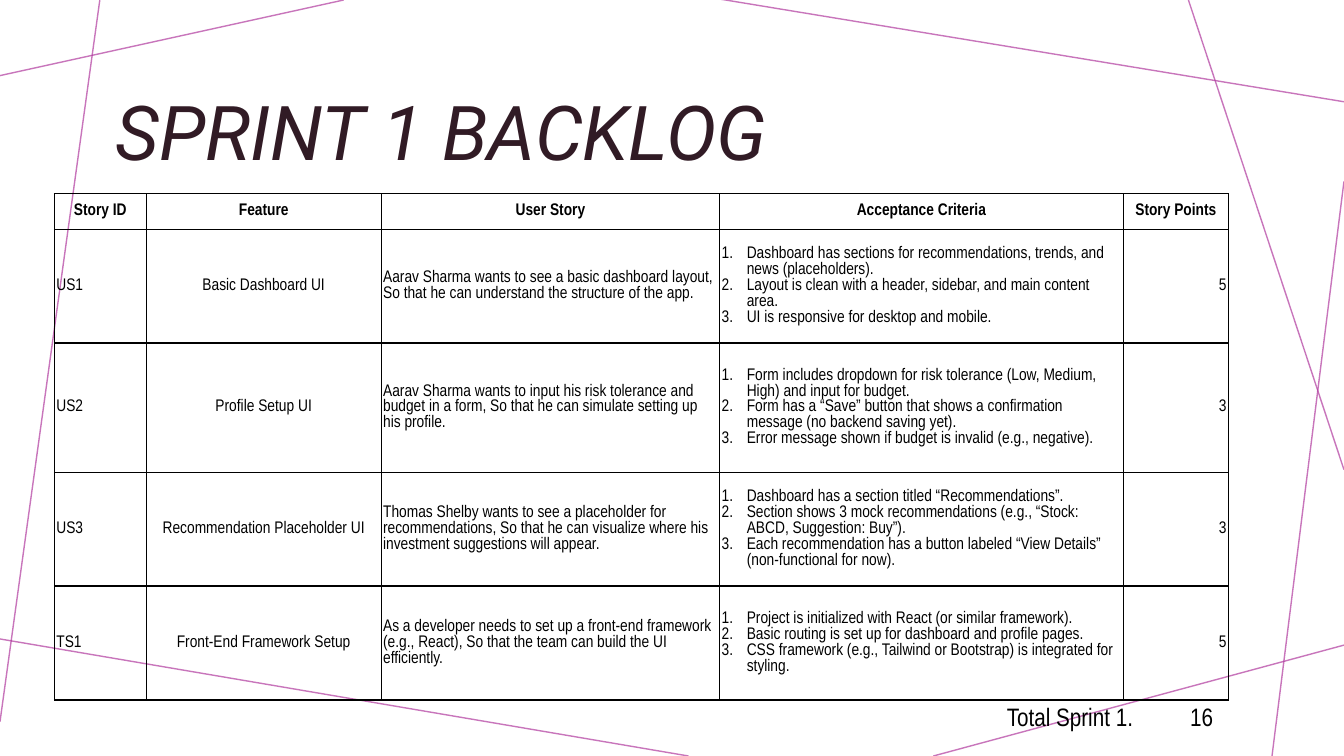
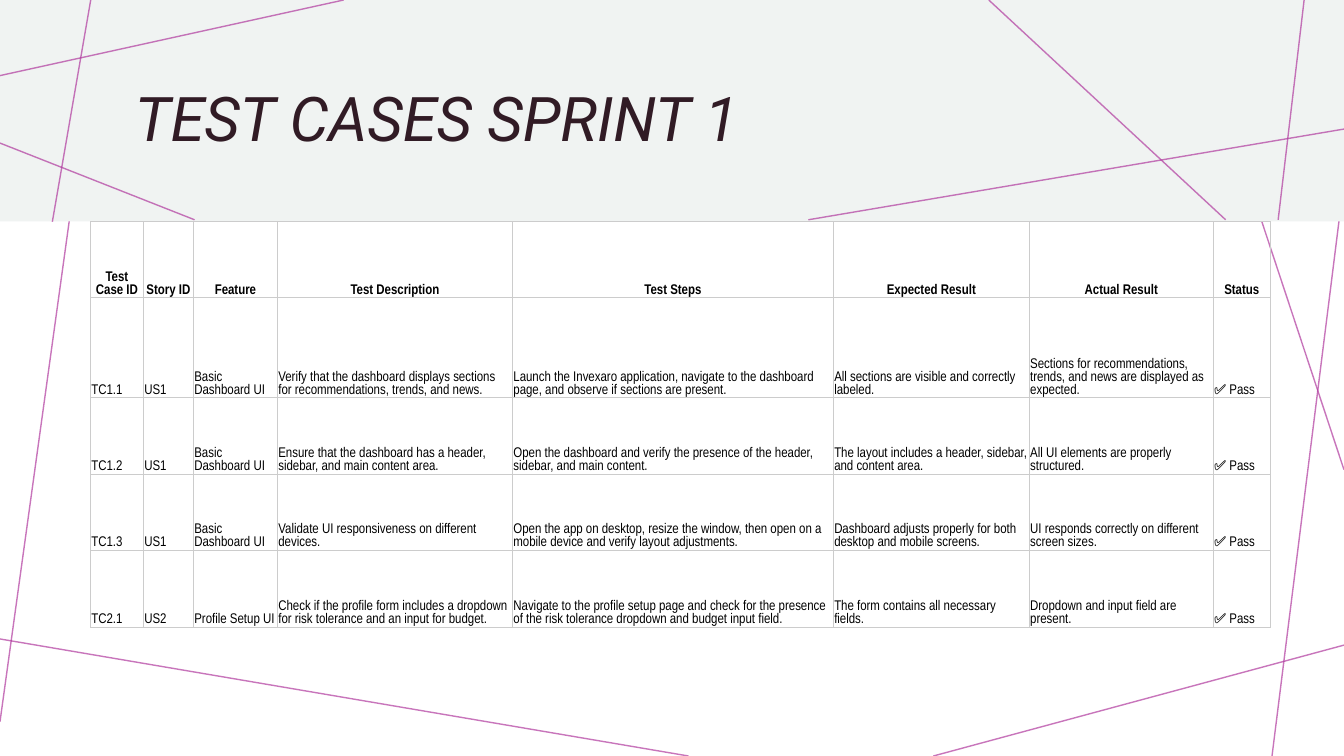
from dataclasses import dataclass
from typing import NamedTuple

from lxml.etree import SubElement
from pptx import Presentation
from pptx.dml.color import RGBColor
from pptx.enum.shapes import MSO_CONNECTOR, MSO_SHAPE
from pptx.enum.text import MSO_ANCHOR, MSO_AUTO_SIZE, PP_ALIGN
from pptx.oxml.ns import qn
from pptx.util import Pt

WIDTH, HEIGHT = 960, 540
BLACK, PLUM, MAGENTA, MIST, GREY = "000000", "311B25", "B13B9F", "F0F3F2", "CCCCCC"
TITLE_FONT, BODY_FONT = "Roboto", "Arial Narrow"
LEFT, CENTER, RIGHT = PP_ALIGN.LEFT, PP_ALIGN.CENTER, PP_ALIGN.RIGHT


class Line(NamedTuple):
    x1: float
    y1: float
    x2: float
    y2: float


class Box(NamedTuple):
    x: float
    y: float
    w: float
    h: float


@dataclass
class TableSpec:
    x: float
    y: float
    widths: list
    heights: list
    aligns: list
    size: float
    anchor: MSO_ANCHOR
    margin_x: float
    margin_y: float
    border: str
    border_width: float
    rows: list


CORNER_LINE = Line(245.5, 0, 0, 54)
BACKDROP_LINES = [
    CORNER_LINE,
    Line(71.3, 0, 0, 515.5),
    Line(491.8, 540, -3.6, 455.8),
    Line(960, 460.8, 666.7, 540),
    Line(960, 129.6, 908.6, 540),
    Line(960, 335.5, 848.9, 0),
    Line(960, 72.7, 514.1, -0.7),
]
BAND_LINES = [
    CORNER_LINE,
    Line(64.8, 0, 37.4, 158.4),
    Line(139, 157, 0, 102.2),
    Line(960, 92.2, 577.4, 157),
    Line(875.5, 157, 706.3, 0),
    Line(931.7, -1.4, 913, 157),
]

BACKLOG = TableSpec(
    x=38.9, y=138.4,
    widths=[65.6, 167.8, 241.8, 288.3, 75.2],
    heights=[25.3, 81.4, 92.2, 81.4, 81.4],
    aligns=[LEFT, CENTER, LEFT, LEFT, RIGHT],
    size=12, anchor=MSO_ANCHOR.MIDDLE, margin_x=1.4, margin_y=0.7,
    border=BLACK, border_width=1,
    rows=[
        ["Story ID", "Feature", "User Story", "Acceptance Criteria", "Story Points"],
        ["US1", "Basic Dashboard UI",
         "Aarav Sharma wants to see a basic dashboard layout, So that he can understand the structure of the app.",
         ("Dashboard has sections for recommendations, trends, and news (placeholders).",
          "Layout is clean with a header, sidebar, and main content area.",
          "UI is responsive for desktop and mobile."), "5"],
        ["US2", "Profile Setup UI",
         "Aarav Sharma wants to input his risk tolerance and budget in a form, "
         "So that he can simulate setting up his profile.",
         ("Form includes dropdown for risk tolerance (Low, Medium, High) and input for budget.",
          "Form has a “Save” button that shows a confirmation message (no backend saving yet).",
          "Error message shown if budget is invalid (e.g., negative)."), "3"],
        ["US3", "Recommendation Placeholder UI",
         "Thomas Shelby wants to see a placeholder for recommendations, "
         "So that he can visualize where his investment suggestions will appear.",
         ("Dashboard has a section titled “Recommendations”.",
          "Section shows 3 mock recommendations (e.g., “Stock: ABCD, Suggestion: Buy”).",
          "Each recommendation has a button labeled “View Details” (non-functional for now)."), "3"],
        ["TS1", "Front-End Framework Setup",
         "As a developer needs to set up a front-end framework (e.g., React), "
         "So that the team can build the UI efficiently.",
         ("Project is initialized with React (or similar framework).",
          "Basic routing is set up for dashboard and profile pages.",
          "CSS framework (e.g., Tailwind or Bootstrap) is integrated for styling."), "5"],
    ],
)

TEST_CASES = TableSpec(
    x=64.6, y=158.2,
    widths=[37.8, 35.8, 60, 167.9, 229.2, 140, 131.4, 40.8],
    heights=[54.6, 71.4, 54.6, 54.6, 54.6],
    aligns=[LEFT] * 8,
    size=10, anchor=MSO_ANCHOR.BOTTOM, margin_x=0.7, margin_y=0.7,
    border=GREY, border_width=0.75,
    rows=[
        ["Test Case ID", "Story ID", "Feature", "Test Description", "Test Steps",
         "Expected Result", "Actual Result", "Status"],
        ["TC1.1", "US1", "Basic Dashboard UI",
         "Verify that the dashboard displays sections for recommendations, trends, and news.",
         "Launch the Invexaro application, navigate to the dashboard page, and observe if sections are present.",
         "All sections are visible and correctly labeled.",
         "Sections for recommendations, trends, and news are displayed as expected.", "✅ Pass"],
        ["TC1.2", "US1", "Basic Dashboard UI",
         "Ensure that the dashboard has a header, sidebar, and main content area.",
         "Open the dashboard and verify the presence of the header, sidebar, and main content.",
         "The layout includes a header, sidebar, and content area.",
         "All UI elements are properly structured.", "✅ Pass"],
        ["TC1.3", "US1", "Basic Dashboard UI",
         "Validate UI responsiveness on different devices.",
         "Open the app on desktop, resize the window, then open on a mobile device and verify layout adjustments.",
         "Dashboard adjusts properly for both desktop and mobile screens.",
         "UI responds correctly on different screen sizes.", "✅ Pass"],
        ["TC2.1", "US2", "Profile Setup UI",
         "Check if the profile form includes a dropdown for risk tolerance and an input for budget.",
         "Navigate to the profile setup page and check for the presence of the risk tolerance dropdown "
         "and budget input field.",
         "The form contains all necessary fields.",
         "Dropdown and input field are present.", "✅ Pass"],
    ],
)


def rgb(value: str) -> RGBColor:
    return RGBColor.from_string(value)


def set_font(p, name: str, size: float, color: str, bold: bool = False, italic: bool = False) -> None:
    font = p.font
    font.name, font.size, font.bold, font.italic = name, Pt(size), bold, italic
    font.color.rgb = rgb(color)


def add_lines(slide, lines: list) -> None:
    for line in lines:
        cxn = slide.shapes.add_connector(MSO_CONNECTOR.STRAIGHT, *map(Pt, line))
        cxn.line.width = Pt(1)
        cxn.line.color.rgb = rgb(MAGENTA)
        sp_pr = cxn._element.spPr
        SubElement(next(sp_pr.iter(qn("a:srgbClr"))), qn("a:alpha"), val="70000")
        SubElement(sp_pr, qn("a:effectLst"))


def add_band(slide, height: float) -> None:
    sp = slide.shapes.add_shape(MSO_SHAPE.RECTANGLE, 0, 0, Pt(WIDTH), Pt(height))
    sp.shadow.inherit = False
    sp.fill.solid()
    sp.fill.fore_color.rgb = rgb(MIST)
    sp.line.fill.background()


def add_textbox(slide, box: Box, text: str, anchor: MSO_ANCHOR):
    tf = slide.shapes.add_textbox(*map(Pt, box)).text_frame
    tf.word_wrap = True
    tf.vertical_anchor = anchor
    tf.text = text
    return tf


def add_title(slide, box: Box, text: str, size: float, anchor: MSO_ANCHOR) -> None:
    p = add_textbox(slide, box, text, anchor).paragraphs[0]
    p.line_spacing = 0.9
    set_font(p, TITLE_FONT, size, PLUM, italic=True)


def add_total(slide, box: Box, text: str, tab: float) -> None:
    tf = add_textbox(slide, box, text, MSO_ANCHOR.TOP)
    tf.auto_size = MSO_AUTO_SIZE.SHAPE_TO_FIT_TEXT
    p = tf.paragraphs[0]
    tabs = SubElement(p._p.get_or_add_pPr(), qn("a:tabLst"))
    SubElement(tabs, qn("a:tab"), pos=str(Pt(tab)), algn="l")
    set_font(p, BODY_FONT, 18, BLACK)


def number_paragraph(p, indent: float) -> None:
    p_pr = p._p.get_or_add_pPr()
    p_pr.set("marL", str(Pt(indent)))
    p_pr.set("indent", str(-Pt(indent)))
    SubElement(p_pr, qn("a:buFont"), typeface="+mj-lt")
    SubElement(p_pr, qn("a:buAutoNum"), type="arabicPeriod")


def set_borders(cell, color: str, width: float) -> None:
    tc_pr = cell._tc.get_or_add_tcPr()
    for side in ("lnL", "lnR", "lnT", "lnB"):
        ln = SubElement(tc_pr, qn(f"a:{side}"), w=str(Pt(width)))
        SubElement(SubElement(ln, qn("a:solidFill")), qn("a:srgbClr"), val=color)


def fill_cell(cell, content, spec: TableSpec, align: PP_ALIGN, bold: bool) -> None:
    cell.margin_left = cell.margin_right = Pt(spec.margin_x)
    cell.margin_top = cell.margin_bottom = Pt(spec.margin_y)
    cell.vertical_anchor = spec.anchor
    set_borders(cell, spec.border, spec.border_width)
    cell.fill.background()
    numbered = isinstance(content, tuple)
    cell.text_frame.text = "\n".join(content) if numbered else content
    for p in cell.text_frame.paragraphs:
        p.alignment = align
        if numbered:
            number_paragraph(p, 18)
        set_font(p, BODY_FONT, spec.size, BLACK, bold=bold)


def add_table(slide, spec: TableSpec) -> None:
    box = Box(spec.x, spec.y, sum(spec.widths), sum(spec.heights))
    table = slide.shapes.add_table(len(spec.heights), len(spec.widths), *map(Pt, box)).table
    table.first_row = table.horz_banding = False
    for column, width in zip(table.columns, spec.widths):
        column.width = Pt(width)
    for i, (row, height, contents) in enumerate(zip(table.rows, spec.heights, spec.rows)):
        row.height = Pt(height)
        for cell, content, align in zip(row.cells, contents, spec.aligns):
            fill_cell(cell, content, spec, align if i else CENTER, bold=i == 0)


def add_slide(prs):
    slide = prs.slides.add_slide(prs.slide_layouts[6])
    add_lines(slide, BACKDROP_LINES)
    return slide


def build_backlog(prs) -> None:
    slide = add_slide(prs)
    add_title(slide, Box(75.6, 42.5, 753.1, 87.1), "SPRINT 1 BACKLOG", 54, MSO_ANCHOR.BOTTOM)
    add_table(slide, BACKLOG)
    add_total(slide, Box(712.1, 497.5, 177.1, 28.8), "Total Sprint 1.\t16", 131)


def build_test_cases(prs) -> None:
    slide = add_slide(prs)
    add_band(slide, 158.2)
    add_lines(slide, BAND_LINES)
    add_title(slide, Box(89.3, 38.9, 792.7, 96.5), "TEST CASES SPRINT 1", 44, MSO_ANCHOR.MIDDLE)
    add_table(slide, TEST_CASES)


def main() -> None:
    prs = Presentation()
    prs.slide_width, prs.slide_height = Pt(WIDTH), Pt(HEIGHT)
    build_backlog(prs)
    build_test_cases(prs)
    prs.save("out.pptx")


if __name__ == "__main__":
    main()
